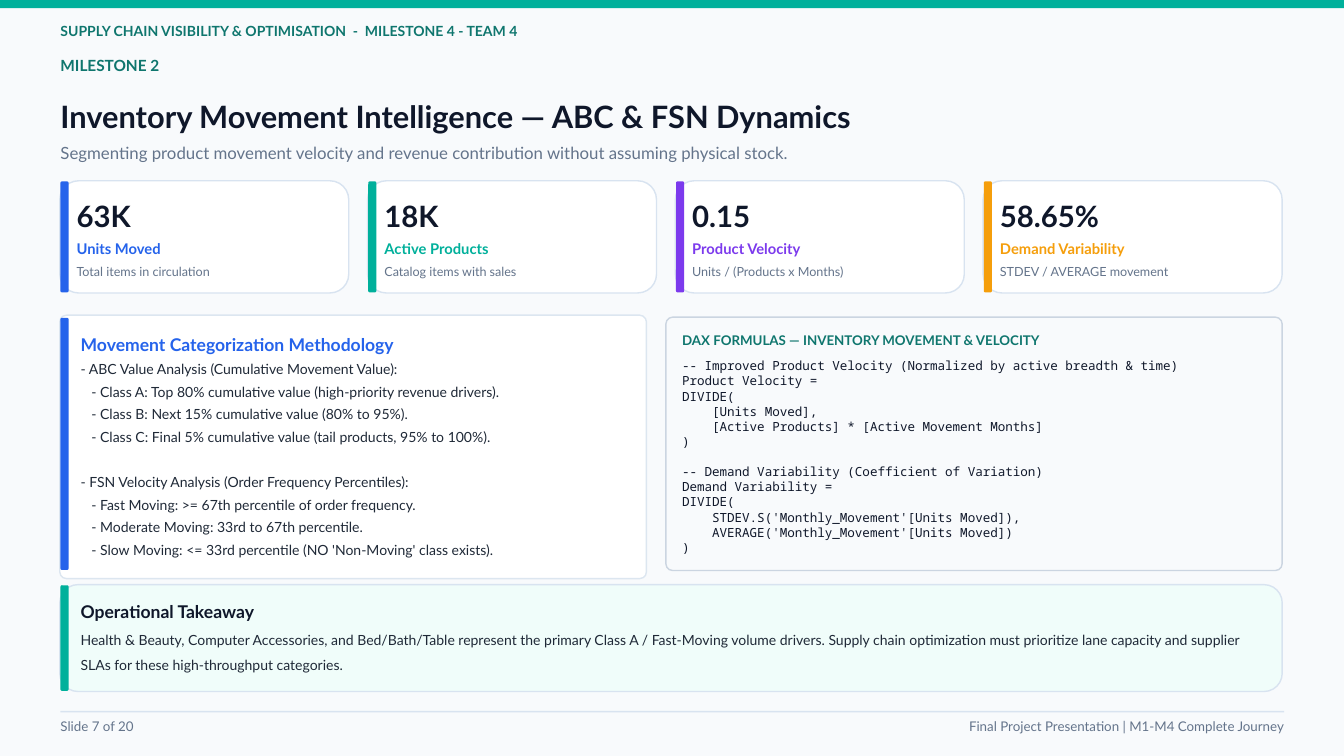
from dataclasses import dataclass

from pptx import Presentation
from pptx import util as u
from pptx.dml.color import RGBColor
from pptx.enum import shapes, text

PX = 9144  # EMU; 100 px to the inch
WIDTH, HEIGHT = 2000, 1125


@dataclass(frozen=True)
class Theme:
    sans: str = "Lato"
    mono: str = "Noto Sans Mono"
    page: str = "F8FAFC"
    white: str = "FFFFFF"
    mint: str = "F0FDFA"
    ink: str = "0F172A"
    body: str = "1F2937"
    muted: str = "64748B"
    teal: str = "0F766E"
    green: str = "00B09B"
    blue: str = "2563EB"
    violet: str = "7C3AED"
    amber: str = "F59E0B"
    border: str = "D8E3F0"
    panel_border: str = "DCE6F0"
    code_border: str = "CBD5E1"
    title_size: float = 33
    value_size: float = 31.5
    heading_size: float = 18.8
    subtitle_size: float = 18
    milestone_size: float = 16.5
    label_size: float = 15.8
    body_size: float = 15
    small_size: float = 14.3
    note_size: float = 13.5


T = Theme()

HEADER = [  # text, top, height, size, line height, colour, bold
    ("SUPPLY CHAIN VISIBILITY & OPTIMISATION  -  MILESTONE 4 - TEAM 4",
     33, 45, T.body_size, 18, T.teal, True),
    ("MILESTONE 2", 83, 38, T.milestone_size, 19.8, T.teal, True),
    ("Inventory Movement Intelligence — ABC & FSN Dynamics",
     145, 53, T.title_size, 39.6, T.ink, True),
    ("Segmenting product movement velocity and revenue contribution "
     "without assuming physical stock.",
     213, 29, T.subtitle_size, 21.6, T.muted, False),
]

METRICS = [
    ("63K", "Units Moved", "Total items in circulation", T.blue),
    ("18K", "Active Products", "Catalog items with sales", T.green),
    ("0.15", "Product Velocity", "Units / (Products x Months)", T.violet),
    ("58.65%", "Demand Variability", "STDEV / AVERAGE movement", T.amber),
]

METHOD_TITLE = "Movement Categorization Methodology"
METHODS = [
    ("- ABC Value Analysis (Cumulative Movement Value):", [
        "- Class A: Top 80% cumulative value (high-priority revenue drivers).",
        "- Class B: Next 15% cumulative value (80% to 95%).",
        "- Class C: Final 5% cumulative value (tail products, 95% to 100%).",
    ]),
    ("- FSN Velocity Analysis (Order Frequency Percentiles):", [
        "- Fast Moving: >= 67th percentile of order frequency.",
        "- Moderate Moving: 33rd to 67th percentile.",
        "- Slow Moving: <= 33rd percentile (NO 'Non-Moving' class exists).",
    ]),
]

CODE_TITLE = "DAX FORMULAS — INVENTORY MOVEMENT & VELOCITY"
FORMULAS = [
    ["-- Improved Product Velocity (Normalized by active breadth & time)",
     "Product Velocity =",
     "DIVIDE(",
     "    [Units Moved],",
     "    [Active Products] * [Active Movement Months]",
     ")"],
    ["-- Demand Variability (Coefficient of Variation)",
     "Demand Variability =",
     "DIVIDE(",
     "    STDEV.S('Monthly_Movement'[Units Moved]),",
     "    AVERAGE('Monthly_Movement'[Units Moved])",
     ")"],
]

TAKEAWAY_TITLE = "Operational Takeaway"
TAKEAWAY = (
    "Health & Beauty, Computer Accessories, and Bed/Bath/Table represent the "
    "primary Class A / Fast-Moving volume drivers. Supply chain optimization "
    "must prioritize lane capacity and supplier SLAs for these "
    "high-throughput categories."
)
FOOTER_LEFT = "Slide 7 of 20"
FOOTER_RIGHT = "Final Project Presentation | M1-M4 Complete Journey"

LEFT, RIGHT = 90, 1908
BAR_WIDTH = 12
CARD_WIDTH, CARD_PITCH = 430, 458


def px(*lengths):
    return [u.Emu(length * PX) for length in lengths]


def add_block(page, frame, fill, radius=0, border=None):
    """Filled rectangle; frame is left, top, width, height."""
    kind = shapes.MSO_SHAPE.ROUNDED_RECTANGLE if radius else shapes.MSO_SHAPE.RECTANGLE
    block = page.shapes.add_shape(kind, *px(*frame))
    block.shadow.inherit = False
    if radius:
        block.adjustments[0] = radius / min(frame[2:])
    block.fill.solid()
    block.fill.fore_color.rgb = RGBColor.from_string(fill)
    if border:
        block.line.color.rgb = RGBColor.from_string(border)
        block.line.width = u.Pt(1.5)
    else:
        block.line.fill.background()


def line(words, size, height, color, bold=False, font=T.sans, indent=0, before=0):
    return dict(words=words, size=size, height=height, color=color, bold=bold,
                font=font, indent=indent, before=before)


def add_text(page, frame, lines, align=text.PP_ALIGN.LEFT):
    box = page.shapes.add_textbox(*px(*frame)).text_frame
    box.word_wrap = True
    box.margin_left = box.margin_top = box.margin_right = box.margin_bottom = 0
    for number, item in enumerate(lines):
        para = box.add_paragraph() if number else box.paragraphs[0]
        para.text = item["words"]
        para.alignment = align
        para.line_spacing = u.Pt(item["height"])
        if item["before"]:
            para.space_before = u.Pt(item["before"])
        if item["indent"]:
            para._p.get_or_add_pPr().set("marL", str(item["indent"] * PX))
        para.font.name = item["font"]
        para.font.size = u.Pt(item["size"])
        para.font.bold = item["bold"]
        para.font.color.rgb = RGBColor.from_string(item["color"])


def add_metrics(page):
    for number, (value, label, note, accent) in enumerate(METRICS):
        left = LEFT - 1 + number * CARD_PITCH
        width = RIGHT - left if number == len(METRICS) - 1 else CARD_WIDTH
        add_block(page, (left, 269, width, 167), T.white, 28, T.border)
        add_block(page, (left + 1, 270, BAR_WIDTH, 165), accent, 2)
        add_text(page, (left + 25, 274, width - 38, 142), [
            line(value, T.value_size, 52.6, T.ink, True),
            line(label, T.label_size, 26.3, accent, True),
            line(note, T.note_size, 22.6, T.muted),
        ])


def add_methods(page):
    add_block(page, (LEFT - 1, 469, 873, 392), T.white, 10, T.panel_border)
    add_block(page, (LEFT, 473, BAR_WIDTH, 375), T.blue, 2)
    lines = [line(METHOD_TITLE, T.heading_size, 30.2, T.blue, True)]
    for number, (heading, classes) in enumerate(METHODS):
        lines.append(line(heading, T.body_size, 24.2, T.body,
                          before=24.2 if number else 0))
        lines += [line(words, T.body_size, 24.2, T.body, indent=16)
                  for words in classes]
    add_text(page, (120, 486, 818, 340), lines)


def add_formulas(page):
    add_block(page, (991, 472, RIGHT - 991, 377), T.page, 10, T.code_border)
    add_text(page, (1015, 495, 868, 33),
             [line(CODE_TITLE, T.small_size, 17.1, T.teal, True)])
    add_text(page, (1015, 533, 868, 318), [
        line(words, T.note_size, 16.2, T.ink, font=T.mono,
             before=16.2 if block and not row else 0)
        for block, rows in enumerate(FORMULAS) for row, words in enumerate(rows)
    ])


def add_takeaway(page):
    add_block(page, (LEFT - 1, 870, RIGHT - LEFT + 1, 159), T.mint, 27, T.border)
    add_block(page, (LEFT, 871, BAR_WIDTH, 157), T.green, 2)
    add_text(page, (120, 879, 1764, 120), [
        line(TAKEAWAY_TITLE, T.heading_size, 34.1, T.ink, True),
        line(TAKEAWAY, T.body_size, 27.3, T.body),
    ])


def add_footer(page):
    add_block(page, (LEFT, 1058, 1821, 2), T.border)
    for words, left, align in ((FOOTER_LEFT, LEFT, text.PP_ALIGN.LEFT),
                               (FOOTER_RIGHT, 1311, text.PP_ALIGN.RIGHT)):
        add_text(page, (left, 1069, 600, 38),
                 [line(words, T.small_size, 17.1, T.muted)], align)


def main():
    deck = Presentation()
    deck.slide_width, deck.slide_height = px(WIDTH, HEIGHT)
    page = deck.slides.add_slide(deck.slide_layouts[6])
    page.background.fill.solid()
    page.background.fill.fore_color.rgb = RGBColor.from_string(T.page)
    add_block(page, (0, 0, WIDTH, 12), T.green)
    for words, top, height, *style in HEADER:
        add_text(page, (LEFT, top, 1801, height), [line(words, *style)])
    add_metrics(page)
    add_methods(page)
    add_formulas(page)
    add_takeaway(page)
    add_footer(page)
    deck.save("out.pptx")


if __name__ == "__main__":
    main()
